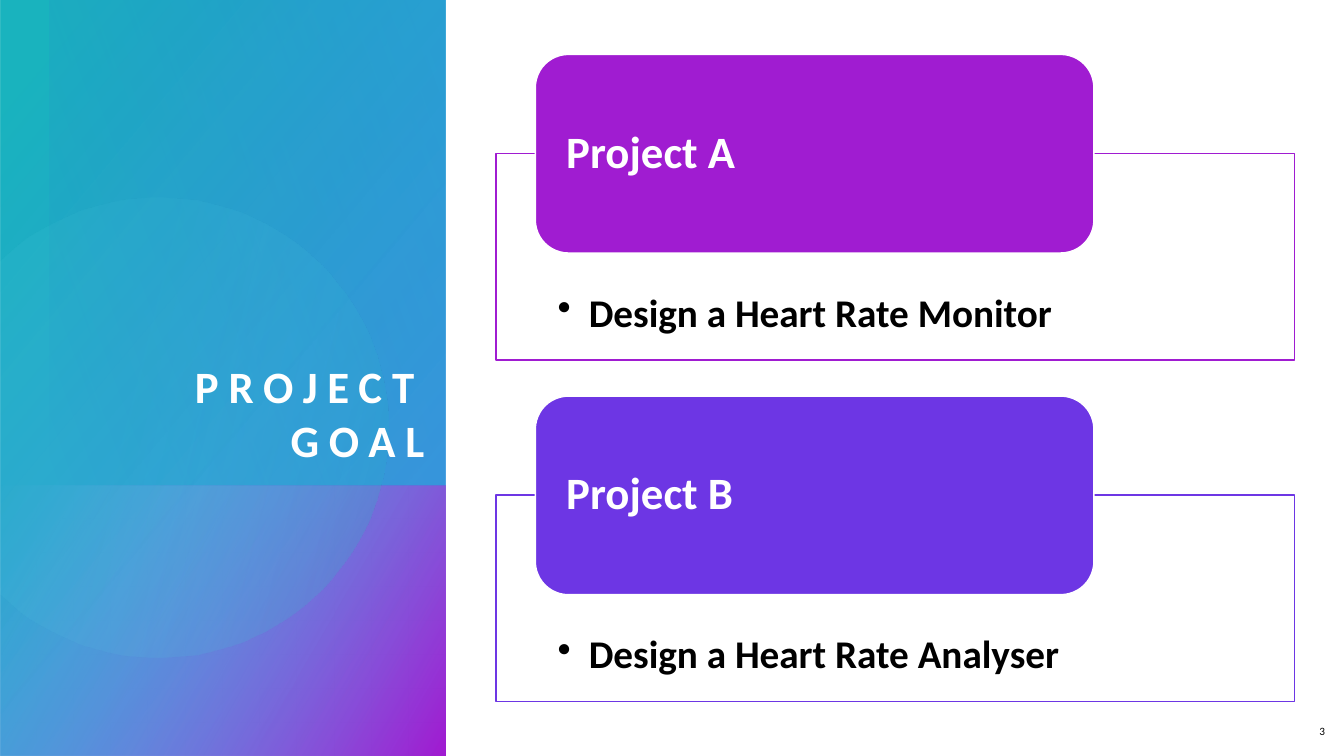
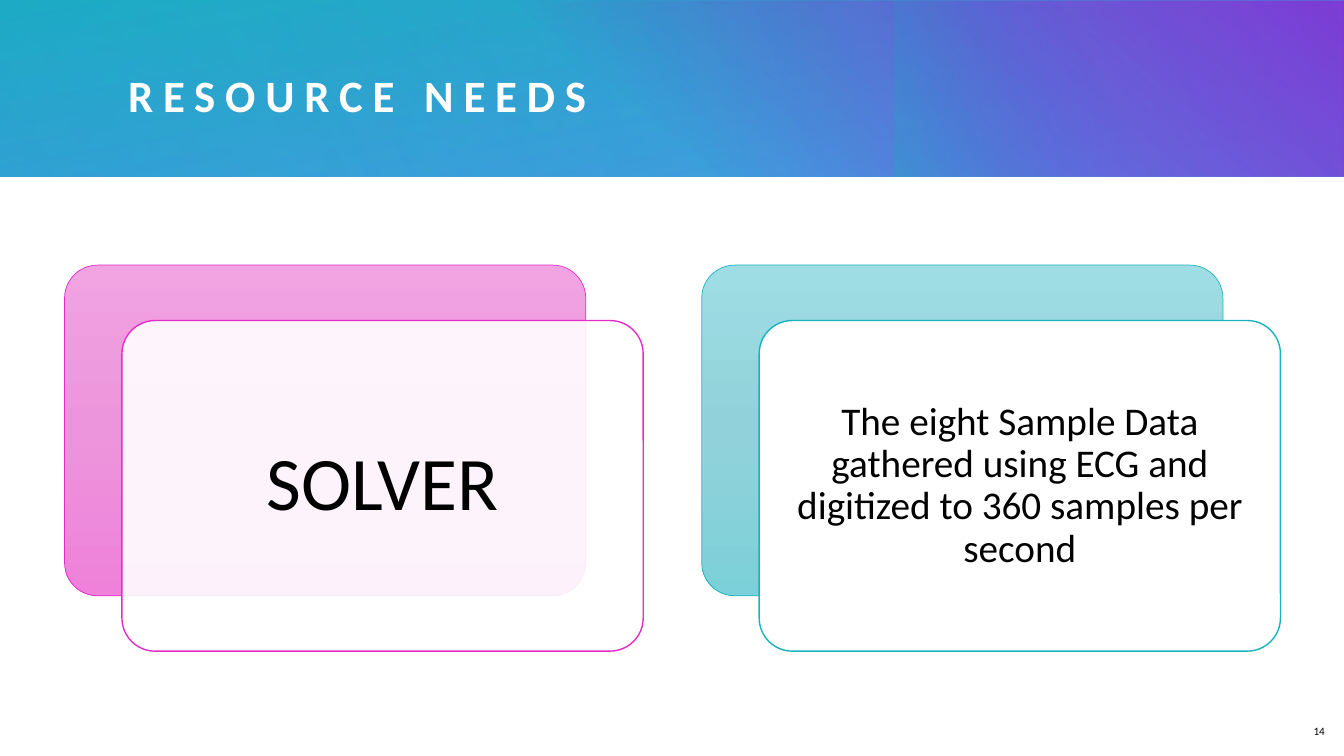
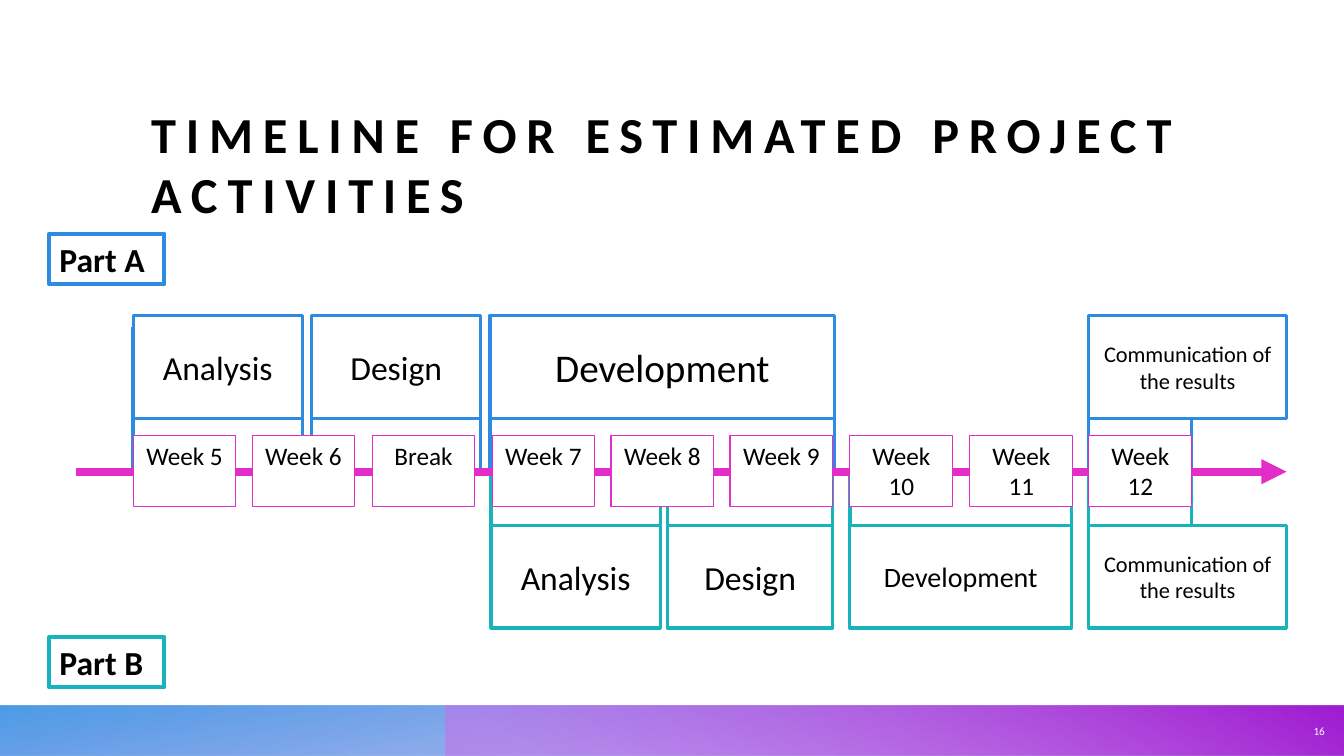
from dataclasses import dataclass
from math import acos, cos, sin

from lxml import etree
from pptx import Presentation
from pptx.dml.color import RGBColor
from pptx.enum.shapes import MSO_CONNECTOR, MSO_SHAPE
from pptx.enum.text import MSO_ANCHOR, MSO_AUTO_SIZE, PP_ALIGN
from pptx.oxml import parse_xml
from pptx.oxml.ns import nsdecls, qn
from pptx.presentation import Presentation as Deck
from pptx.shapes.autoshape import Shape
from pptx.slide import Slide
from pptx.util import Emu, Pt

RECT, ROUNDED = MSO_SHAPE.RECTANGLE, MSO_SHAPE.ROUNDED_RECTANGLE
STRAIGHT = MSO_CONNECTOR.STRAIGHT
LEFT, CENTER, RIGHT = PP_ALIGN.LEFT, PP_ALIGN.CENTER, PP_ALIGN.RIGHT
TOP, MIDDLE, BOTTOM = MSO_ANCHOR.TOP, MSO_ANCHOR.MIDDLE, MSO_ANCHOR.BOTTOM
NO_FIT = MSO_AUTO_SIZE.NONE
PX = 9144
PAGE_WIDTH, PAGE_HEIGHT = 1333, 750
TITLE_ONLY = 5


@dataclass(frozen=True)
class Theme:
    """Colours, font and type sizes of the deck."""
    font: str = "Calibri"
    white: str = "FFFFFF"
    black: str = "000000"
    purple: str = "A01CD1"
    violet: str = "6D36E4"
    lilac: str = "CA6FEC"
    indigo: str = "4050D8"
    blue: str = "2D8BE2"
    sky: str = "81B9EE"
    teal: str = "19B3BE"
    aqua: str = "63E1EA"
    magenta: str = "E22DC8"
    pinks: tuple[str, ...] = ("F1A3E2", "ED95DC", "EF81DA")
    teals: tuple[str, ...] = ("9EDDE4", "91D2DA", "7CD0D9")
    display: int = 54
    long_title: int = 36
    title: int = 32
    large: int = 28
    label: int = 24
    medium: int = 20
    week: int = 18
    small: int = 16
    number: int = 8
    tracking: int = 700


THEME = Theme()


@dataclass(frozen=True)
class Box:
    """A rectangle in px."""
    left: int
    top: int
    width: int
    height: int

    def emu(self) -> tuple[Emu, ...]:
        """Return the four lengths in EMU."""
        return tuple(Emu(v * PX) for v in (self.left, self.top, self.width, self.height))


@dataclass(frozen=True)
class Stop:
    """One gradient stop, with position and opacity in percent."""
    position: int
    colour: str
    opacity: int = 100


@dataclass(frozen=True)
class Gradient:
    """A linear gradient with a clockwise angle in degrees."""
    angle: int
    stops: tuple[Stop, ...]


@dataclass(frozen=True)
class Panel:
    """A decorative gradient rectangle."""
    box: Box
    fill: Gradient
    rotation: int = 0
    flipped: bool = False


@dataclass(frozen=True)
class TextStyle:
    """How the text of one box is set."""
    size: int
    colour: str = THEME.black
    bold: bool = False
    align: PP_ALIGN = LEFT
    anchor: MSO_ANCHOR = MIDDLE
    insets: tuple[int, int, int, int] = (10, 5, 10, 5)
    spacing: float = 1.0
    hanging: int = 0
    tracking: int = 0


@dataclass(frozen=True)
class Goal:
    """A project with its goal."""
    name: str
    text: str
    colour: str


@dataclass(frozen=True)
class Card:
    """A resource card with its backing."""
    text: str
    size: int
    inset: int
    colour: str
    shades: tuple[str, ...]
    opacity: int


@dataclass(frozen=True)
class Phase:
    """A timeline phase, with the px its legs span if not its width."""
    name: str
    left: int
    width: int
    size: int
    legs: int = 0


@dataclass(frozen=True)
class Part:
    """One side of the timeline."""
    name: str
    colour: str
    label_top: int
    box_top: int
    leg_top: int
    phases: tuple[Phase, ...]


BANDS = (
    Panel(Box(0, 700, PAGE_WIDTH, 50), Gradient(100, (
        Stop(14, THEME.indigo, 28), Stop(100, THEME.blue, 85))), 180, True),
    Panel(Box(442, 700, 892, 50), Gradient(240, (
        Stop(9, THEME.lilac, 55), Stop(99, THEME.purple))), 0, True),
)
SIDE_PANELS = (
    Panel(Box(-154, 154, 750, 442), Gradient(50, (
        Stop(8, THEME.teal), Stop(100, THEME.blue, 89))), 270, True),
    Panel(Box(86, 395, 269, 442), Gradient(60, (
        Stop(0, THEME.sky, 0), Stop(99, THEME.purple))), 270, True),
)
SIDE_GLOW = Panel(Box(5, 45, 481, 392), Gradient(110, (
    Stop(0, THEME.blue, 29), Stop(100, THEME.indigo, 0))), 90, True)
DISC_FILL = Gradient(14, (Stop(36, THEME.aqua, 6), Stop(100, THEME.teal, 26)))
HEADER_PANELS = (
    Panel(Box(0, 0, PAGE_WIDTH, 175), Gradient(260, (
        Stop(0, THEME.blue, 83), Stop(100, THEME.teal)))),
    Panel(Box(481, 1, 852, 174), Gradient(310, (
        Stop(22, THEME.purple, 0), Stop(99, THEME.purple)))),
    Panel(Box(987, -99, 175, 374), Gradient(250, (
        Stop(45, THEME.indigo, 0), Stop(99, THEME.teal, 33))), 270),
    Panel(Box(268, 0, 1064, 175), Gradient(330, (
        Stop(0, THEME.blue, 30), Stop(99, THEME.blue, 0))), 180),
    Panel(Box(0, 0, 865, 175), Gradient(340, (
        Stop(0, THEME.blue, 21), Stop(99, THEME.blue, 0)))),
)
GOALS = (
    Goal("Project A", "Design a Heart Rate Monitor", THEME.purple),
    Goal("Project B", "Design a Heart Rate Analyser", THEME.violet),
)
CARDS = (
    Card("SOLVER", THEME.display, 23, THEME.magenta, THEME.pinks, 90),
    Card("The eight Sample Data gathered using ECG and digitized to 360 samples per second",
         THEME.large, 12, THEME.teal, THEME.teals, 100),
)
RESULTS = Phase("Communication of the results", 1080, 196, THEME.small, 102)
PARTS = (
    Part("Part A", THEME.blue, 232, 313, 324, (
        Phase("Analysis", 132, 168, THEME.label),
        Phase("Design", 309, 168, THEME.label),
        Phase("Development", 486, 342, THEME.large),
        RESULTS)),
    Part("Part B", THEME.teal, 632, 521, 471, (
        Phase("Analysis", 487, 168, THEME.label),
        Phase("Design", 662, 164, THEME.label),
        Phase("Development", 843, 220, THEME.medium),
        RESULTS)),
)
WEEKS = ("Week 5", "Week 6", "Break", "Week 7", "Week 8", "Week 9",
         "Week 10", "Week 11", "Week 12")


def rgb(colour: str) -> RGBColor:
    """Turn a hex string into a colour."""
    return RGBColor.from_string(colour)


def paint(shape: Shape, fill: str | Gradient, opacity: int = 100) -> None:
    """Fill a shape with a plain colour or a gradient."""
    properties = shape.element.spPr
    if isinstance(fill, Gradient):
        shape.fill.gradient()
        stops = "".join(
            f'<a:gs pos="{stop.position * 1000}"><a:srgbClr val="{stop.colour}">'
            f'<a:alpha val="{stop.opacity * 1000}"/></a:srgbClr></a:gs>'
            for stop in fill.stops)
        properties.replace(properties.find(qn("a:gradFill")), parse_xml(
            f'<a:gradFill {nsdecls("a")} rotWithShape="1"><a:gsLst>{stops}</a:gsLst>'
            f'<a:lin ang="{fill.angle * 60000}" scaled="0"/></a:gradFill>'))
        return
    shape.fill.solid()
    shape.fill.fore_color.rgb = rgb(fill)
    if opacity < 100:
        colour = properties.find(qn("a:solidFill")).find(qn("a:srgbClr"))
        etree.SubElement(colour, qn("a:alpha"), val=str(opacity * 1000))


def finish(shape: Shape, fill: str | Gradient, line: str = "", weight: float = 1,
           opacity: int = 100) -> None:
    """Set fill and outline and drop the shadow."""
    shape.shadow.inherit = False
    paint(shape, fill, opacity)
    if line:
        shape.line.color.rgb = rgb(line)
        shape.line.width = Pt(weight)
    else:
        shape.line.fill.background()


def write(shape: Shape, text: str, style: TextStyle) -> None:
    """Put one styled paragraph into a shape."""
    frame = shape.text_frame
    frame.word_wrap = True
    frame.auto_size = NO_FIT
    frame.vertical_anchor = style.anchor
    frame.margin_left, frame.margin_top, frame.margin_right, frame.margin_bottom = (
        Emu(inset * PX) for inset in style.insets)
    para = frame.paragraphs[0]
    para.text = text
    para.alignment = style.align
    para.line_spacing = style.spacing
    properties = para._p.get_or_add_pPr()
    if style.hanging:
        properties.set("marL", str(style.hanging * PX))
        properties.set("indent", str(-style.hanging * PX))
        etree.SubElement(properties, qn("a:buChar"), char="•")
    para.font.name = THEME.font
    para.font.size = Pt(style.size)
    para.font.bold = style.bold
    para.font.color.rgb = rgb(style.colour)
    if style.tracking:
        properties.find(qn("a:defRPr")).set("spc", str(style.tracking))


def add_box(page: Slide, box: Box, fill: str | Gradient, line: str = "", weight: float = 1,
            kind: MSO_SHAPE = RECT, opacity: int = 100) -> Shape:
    """Draw a preset shape."""
    shape = page.shapes.add_shape(kind, *box.emu())
    finish(shape, fill, line, weight, opacity)
    return shape


def add_panel(page: Slide, panel: Panel) -> Shape:
    """Draw a gradient panel."""
    shape = add_box(page, panel.box, panel.fill)
    shape.rotation = panel.rotation
    if panel.flipped:
        shape.element.spPr.get_or_add_xfrm().set("flipH", "1")
    return shape


def add_line(page: Slide, start: tuple[int, int], end: tuple[int, int], colour: str,
             weight: float, arrow: bool = False) -> None:
    """Draw a straight line, with an arrowhead at its end if asked."""
    line = page.shapes.add_connector(STRAIGHT, *(Emu(v * PX) for v in start + end))
    line.line.color.rgb = rgb(colour)
    line.line.width = Pt(weight)
    properties = line._element.spPr
    if arrow:
        etree.SubElement(properties.find(qn("a:ln")), qn("a:tailEnd"), type="triangle")
    etree.SubElement(properties, qn("a:effectLst"))


def add_page(deck: Deck) -> Slide:
    """Add a title-only page."""
    return deck.slides.add_slide(deck.slide_layouts[TITLE_ONLY])


def set_title(page: Slide, text: str, box: Box, size: int, colour: str,
              align: PP_ALIGN, anchor: MSO_ANCHOR) -> None:
    """Place the title in front of what is drawn so far."""
    title = page.shapes.title
    title.left, title.top, title.width, title.height = box.emu()
    write(title, text, TextStyle(size, colour, True, align, anchor, (0, 0, 0, 0),
                                 tracking=THEME.tracking))
    page.shapes.element.append(title.element)


def add_number(page: Slide, number: int, colour: str = THEME.black) -> None:
    """Write the page number."""
    box = page.shapes.add_textbox(*Box(1276, 701, 48, 49).emu())
    write(box, str(number), TextStyle(THEME.number, colour, align=RIGHT))


def add_master_bands(deck: Deck, page: Slide) -> None:
    """Draw the footer bands and move them to the master."""
    tree = deck.slide_master.shapes.element
    for index, panel in enumerate(BANDS):
        band = add_panel(page, panel).element
        band.nvSpPr.cNvPr.set("id", str(101 + index))
        tree.insert(2 + index, band)


def add_cover(page: Slide) -> None:
    """Cover the footer bands with white."""
    add_box(page, Box(0, 0, PAGE_WIDTH, PAGE_HEIGHT), THEME.white)


def add_disc(page: Slide) -> None:
    """Draw the disc cut off by the left page edge."""
    center_x, center_y, radius, steps = 157, 424, 228, 90
    half = acos(-center_x / radius)
    angles = [half * (2 * step / steps - 1) for step in range(steps + 1)]
    points = [(round(center_x + radius * cos(angle), 2),
               round(center_y + radius * sin(angle), 2)) for angle in angles]
    builder = page.shapes.build_freeform(*points[0], scale=PX)
    builder.add_line_segments(points[1:], close=True)
    finish(builder.convert_to_shape(), DISC_FILL)


def build_goals(page: Slide) -> None:
    """Build the project goal page."""
    add_cover(page)
    for panel in SIDE_PANELS:
        add_panel(page, panel)
    add_disc(page)
    add_panel(page, SIDE_GLOW)
    set_title(page, "PROJECT GOAL", Box(50, 95, 371, 368), THEME.title, THEME.white,
              RIGHT, BOTTOM)
    add_number(page, 3)
    text_style = TextStyle(THEME.large, bold=True, anchor=TOP, insets=(61, 139, 61, 22),
                           spacing=0.9, hanging=31)
    name_style = TextStyle(THEME.title, THEME.white, True, insets=(21, 0, 21, 0), spacing=0.9)
    for index, goal in enumerate(GOALS):
        top = 54 + 339 * index
        frame = add_box(page, Box(492, top + 98, 792, 205), THEME.white, goal.colour, opacity=90)
        write(frame, goal.text, text_style)
        tab = add_box(page, Box(531, top, 554, 197), goal.colour, THEME.white, kind=ROUNDED)
        write(tab, goal.name, name_style)


def build_resources(page: Slide) -> None:
    """Build the resource needs page."""
    add_cover(page)
    for panel in HEADER_PANELS:
        add_panel(page, panel)
    set_title(page, "RESOURCE NEEDS", Box(127, 41, 1135, 106), THEME.title, THEME.white,
              LEFT, MIDDLE)
    add_number(page, 14)
    for index, card in enumerate(CARDS):
        left = 64 + 632 * index
        shades = Gradient(90, tuple(Stop(50 * i, shade) for i, shade in enumerate(card.shades)))
        back = add_box(page, Box(left, 263, 517, 328), shades, card.colour, 0.5, ROUNDED)
        front = add_box(page, Box(left + 57, 318, 517, 328), THEME.white, card.colour, 1,
                        ROUNDED, card.opacity)
        for shape in (back, front):
            shape.adjustments[0] = 0.1
        write(front, card.text, TextStyle(card.size, align=CENTER, insets=(card.inset,) * 4,
                                          spacing=0.9))


def add_phase(page: Slide, part: Part, phase: Phase) -> None:
    """Draw a phase box over its two legs."""
    for x in (phase.left, phase.left + (phase.legs or phase.width)):
        add_line(page, (x, part.leg_top), (x, part.leg_top + 143), part.colour, 2.25)
    box = add_box(page, Box(phase.left, part.box_top, phase.width, 102), THEME.white,
                  part.colour, 2.25)
    write(box, phase.name, TextStyle(phase.size, align=CENTER))


def build_timeline(page: Slide) -> None:
    """Build the timeline page."""
    set_title(page, "TIMELINE FOR ESTIMATED PROJECT ACTIVITIES", Box(150, 87, 1120, 135),
              THEME.long_title, THEME.black, LEFT, BOTTOM)
    add_number(page, 16, THEME.white)
    for part in PARTS:
        label = add_box(page, Box(49, part.label_top, 114, 50), THEME.white, part.colour, 3)
        write(label, part.name, TextStyle(THEME.label, bold=True, anchor=TOP))
        for phase in part.phases:
            add_phase(page, part, phase)
    add_line(page, (75, 468), (1276, 468), THEME.magenta, 6, arrow=True)
    for index, week in enumerate(WEEKS):
        box = add_box(page, Box(round(132 + 118.5 * index), 432, 102, 71), THEME.white,
                      THEME.magenta, 0.75)
        write(box, week, TextStyle(THEME.week, align=CENTER, anchor=TOP))


def main() -> None:
    """Build and save the deck."""
    deck = Presentation()
    deck.slide_width, deck.slide_height = Emu(PAGE_WIDTH * PX), Emu(PAGE_HEIGHT * PX)
    for index, build in enumerate((build_goals, build_resources, build_timeline)):
        page = add_page(deck)
        if index == 0:
            add_master_bands(deck, page)
        build(page)
    deck.save("out.pptx")


if __name__ == "__main__":
    main()
